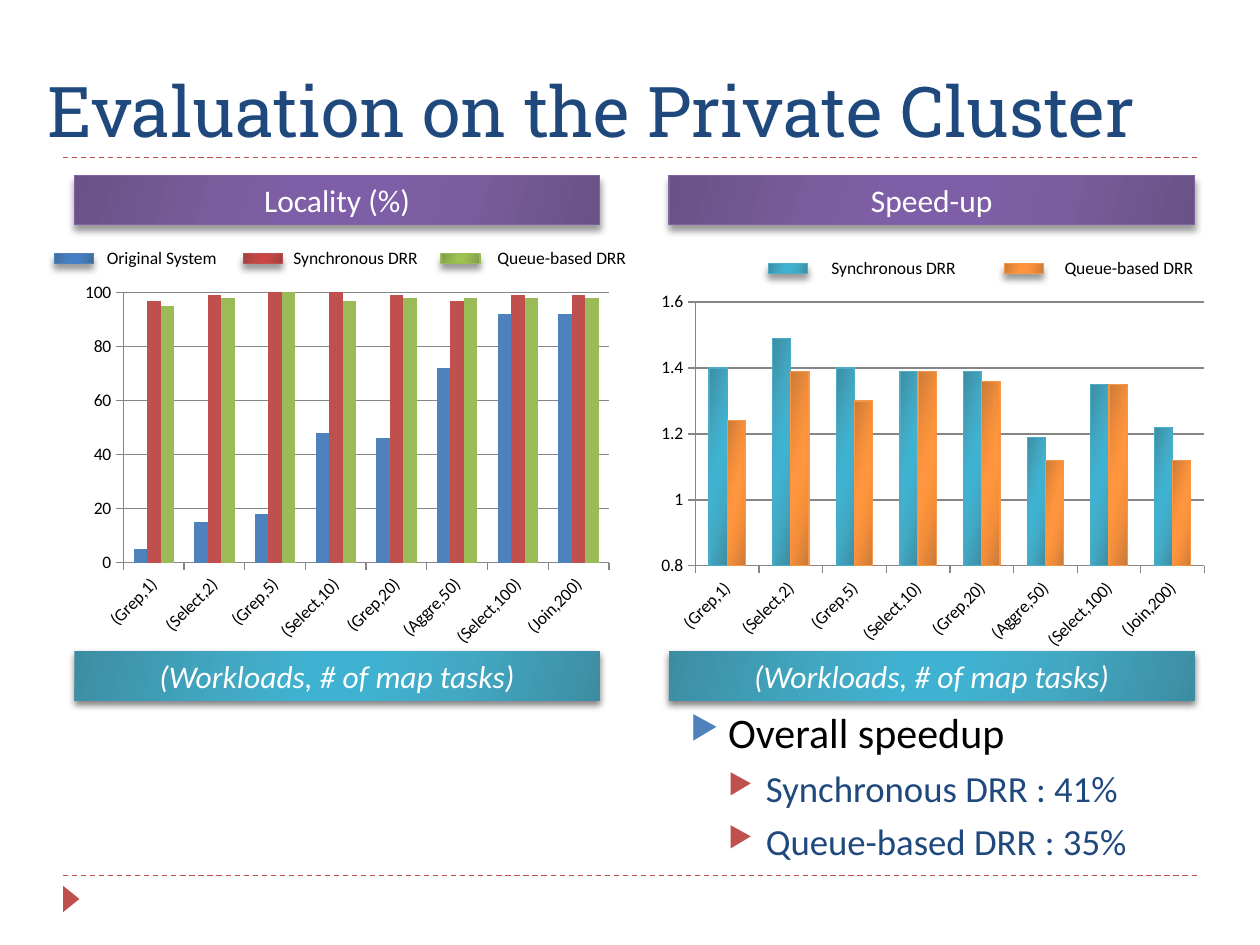
import lxml.etree
import pptx
import pptx.chart.data
import pptx.dml.color
import pptx.enum.chart
import pptx.enum.dml
import pptx.enum.shapes
import pptx.enum.text
import pptx.oxml.ns
import pptx.util

Inches, Pt = pptx.util.Inches, pptx.util.Pt
qn = pptx.oxml.ns.qn

COLORS = {
    "navy": "1F497D", "black": "000000", "white": "FFFFFF", "grid": "868686",
    "blue": "4F81BD", "red": "C0504D", "green": "9BBB59",
    "purple": "8064A2", "teal": "4BACC6", "orange": "F79646",
}
GRADIENTS = {
    "purple": ("695285", "7A5D9E", "7F5EA8"),
    "blue": ("416A9B", "467BBA", "4580C7"),
    "red": ("9D413F", "BD4744", "CA4643"),
    "green": ("7F9949", "96B750", "9EC450"),
    "teal": ("3D8DA2", "42A8C3", "40B2D1"),
    "orange": ("CA7B39", "F48E3A", "FF953E"),
}
STOPS = ((0, 0), (30, 1), (45, 2), (55, 2), (73, 1), (100, 0))


class SlideBuilder:
    """Hold the style and the current slide, and draw each kind of element."""

    def __init__(self, slide):
        self.slide = slide
        self.body_font = "Calibri"
        self.title_font = "Roboto Slab"

    def color(self, name):
        return pptx.dml.color.RGBColor.from_string(COLORS[name])

    def add_xml(self, parent, tag, **attributes):
        element = lxml.etree.SubElement(parent, qn(tag))
        for key, value in attributes.items():
            element.set(key, str(value))
        return element

    def style_font(self, font, size, color, name=None):
        font.size, font.name = Pt(size), name or self.body_font
        font.color.rgb = self.color(color)

    def gradient(self, target, element, name):
        target.fill.gradient()
        fill = next(element.iter(qn("a:gradFill")))
        for child in list(fill):
            fill.remove(child)
        stop_list = self.add_xml(fill, "a:gsLst")
        for position, shade in STOPS:
            stop = self.add_xml(stop_list, "a:gs", pos=position * 1000)
            self.add_xml(stop, "a:srgbClr", val=GRADIENTS[name][shade])
        self.add_xml(fill, "a:lin", ang=16 * 60000, scaled=0)

    def outline(self, line, name):
        line.color.rgb = self.color(name)
        line.width = Pt(0.75)

    def shadow(self, shape, alpha, distance):
        shape.shadow.inherit = False
        effects = shape._element.spPr.find(qn("a:effectLst"))
        outer = self.add_xml(effects, "a:outerShdw", blurRad=Pt(4), dist=Pt(distance),
                             dir=90 * 60000, algn="ctr", rotWithShape=0)
        tint = self.add_xml(outer, "a:srgbClr", val=COLORS["black"])
        self.add_xml(tint, "a:alpha", val=alpha * 1000)

    def glossy_box(self, left, top, width, height, color, bordered=True):
        shape = self.slide.shapes.add_shape(
            pptx.enum.shapes.MSO_SHAPE.RECTANGLE,
            Inches(left), Inches(top), Inches(width), Inches(height))
        self.gradient(shape, shape._element.spPr, color)
        if bordered:
            self.outline(shape.line, color)
            self.shadow(shape, 40, 3.4)
        else:
            shape.line.fill.background()
            self.shadow(shape, 50, 2)
        return shape

    def banner(self, left, top, text, color, italic=False):
        shape = self.glossy_box(left, top, 4.17, 0.39, color, bordered=not italic)
        shape.text_frame.vertical_anchor = pptx.enum.text.MSO_ANCHOR.MIDDLE
        paragraph = shape.text_frame.paragraphs[0]
        paragraph.text = text
        paragraph.alignment = pptx.enum.text.PP_ALIGN.CENTER
        self.style_font(paragraph.font, 18, "white")
        paragraph.font.italic = italic

    def text(self, left, top, width, height, text, size, color, anchor, name=None):
        box = self.slide.shapes.add_textbox(
            Inches(left), Inches(top), Inches(width), Inches(height))
        frame = box.text_frame
        frame.word_wrap = True
        frame.vertical_anchor = anchor
        paragraph = frame.paragraphs[0]
        paragraph.text = text
        self.style_font(paragraph.font, size, color, name)

    def legend_entry(self, key_left, text_left, top, text, color):
        self.glossy_box(key_left, top + 0.07, 0.31, 0.08, color)
        self.text(text_left, top, min(1.97, 10 - text_left), 0.21, text, 10, "black",
                  pptx.enum.text.MSO_ANCHOR.MIDDLE)

    def dashed_rule(self, top):
        rule = self.slide.shapes.add_connector(
            pptx.enum.shapes.MSO_CONNECTOR.STRAIGHT,
            Inches(0.5), Inches(top), Inches(9.5), Inches(top))
        self.outline(rule.line, "red")
        rule.line.dash_style = pptx.enum.dml.MSO_LINE.DASH
        self.add_xml(rule._element.spPr, "a:effectLst")

    def corner_triangle(self):
        shape = self.slide.shapes.add_shape(
            pptx.enum.shapes.MSO_SHAPE.ISOSCELES_TRIANGLE,
            Inches(0.46), Inches(7.07), Inches(0.21), Inches(0.13))
        shape.rotation = 90
        shape.shadow.inherit = False
        shape.fill.solid()
        shape.fill.fore_color.rgb = self.color("red")
        shape.line.fill.background()

    def bullets(self, left, top, width, height, items):
        box = self.slide.shapes.add_textbox(
            Inches(left), Inches(top), Inches(width), Inches(height))
        frame = box.text_frame
        frame.word_wrap = True
        for index, (level, text) in enumerate(items):
            paragraph = frame.paragraphs[0] if index == 0 else frame.add_paragraph()
            paragraph.text, paragraph.level = text, level
            size, color, bullet, space = ((24, "black", "blue", 6), (21, "navy", "red", 5))[level]
            self.style_font(paragraph.font, size, color)
            paragraph.space_before = Pt(space)
            properties = paragraph._p.get_or_add_pPr()
            properties.set("marL", str(Inches(0.3 * (level + 1))))
            properties.set("indent", str(Inches(-0.3)))
            marks = [lxml.etree.Element(qn(tag)) for tag in ("a:buClr", "a:buSzPct", "a:buChar")]
            self.add_xml(marks[0], "a:srgbClr", val=COLORS[bullet])
            marks[1].set("val", "76000")
            marks[2].set("char", "▶")
            place = list(properties).index(properties.find(qn("a:defRPr")))
            properties[place:place] = marks

    def column_chart(self, frame, plot_area, categories, series, scale, glossy):
        data = pptx.chart.data.CategoryChartData()
        data.categories = categories
        for name, color, values in series:
            data.add_series(name, values)
        chart = self.slide.shapes.add_chart(
            pptx.enum.chart.XL_CHART_TYPE.COLUMN_CLUSTERED,
            *map(Inches, frame), data).chart
        chart.has_legend = chart.has_title = False
        self.style_font(chart.font, 10, "black")
        plot = chart.plots[0]
        plot.gap_width, plot.overlap, plot.vary_by_categories = 150, 0, False
        for bars, (name, color, values) in zip(plot.series, series):
            if glossy:
                self.gradient(bars.format, bars._element, color)
                self.outline(bars.format.line, color)
            else:
                bars.format.fill.solid()
                bars.format.fill.fore_color.rgb = self.color(color)
        value_axis, category_axis = chart.value_axis, chart.category_axis
        value_axis.minimum_scale, value_axis.maximum_scale, value_axis.major_unit = scale
        value_axis.has_major_gridlines = True
        self.outline(value_axis.major_gridlines.format.line, "grid")
        for axis in (value_axis, category_axis):
            axis.major_tick_mark = pptx.enum.chart.XL_TICK_MARK.OUTSIDE
            self.outline(axis.format.line, "grid")
            self.style_font(axis.tick_labels.font, 10, "black")
        value_axis.tick_labels.number_format = "General"
        value_axis.tick_labels.number_format_is_linked = False
        next(category_axis._element.iter(qn("a:bodyPr"))).set("rot", str(-45 * 60000))
        area = next(chart._chartSpace.iter(qn("c:plotArea")))
        for old in area.findall(qn("c:layout")):
            area.remove(old)
        layout = lxml.etree.Element(qn("c:layout"))
        area.insert(0, layout)
        manual = self.add_xml(layout, "c:manualLayout")
        for tag, value in zip(("layoutTarget", "xMode", "yMode", "x", "y", "w", "h"),
                              ("inner", "edge", "edge", *plot_area)):
            self.add_xml(manual, "c:" + tag, val=value)


presentation = pptx.Presentation()
presentation.slide_width, presentation.slide_height = Inches(10), Inches(7.5)
builder = SlideBuilder(presentation.slides.add_slide(presentation.slide_layouts[6]))

for rule_top in (6.95, 1.25):
    builder.dashed_rule(rule_top)
builder.corner_triangle()
builder.text(0.28, 0.25, 9.37, 1, "Evaluation on the Private Cluster", 40, "navy",
             pptx.enum.text.MSO_ANCHOR.BOTTOM, builder.title_font)
builder.bullets(5.38, 5.56, 4.42, 1.5, [
    (0, "Overall speedup"), (1, "Synchronous DRR : 41%"), (1, "Queue-based DRR : 35%")])

workloads = ["(Grep,1)", "(Select,2)", "(Grep,5)", "(Select,10)",
             "(Grep,20)", "(Aggre,50)", "(Select,100)", "(Join,200)"]
locality = [
    ("Original System", "blue", (5, 15, 18, 48, 46, 72, 92, 92)),
    ("Synchronous DRR", "red", (97, 99, 100, 100, 99, 97, 99, 99)),
    ("Queue-based DRR", "green", (95, 98, 100, 97, 98, 98, 98, 98))]
speedup = [
    ("Synchronous DRR", "teal", (1.4, 1.49, 1.4, 1.39, 1.39, 1.19, 1.35, 1.22)),
    ("Queue-based DRR", "orange", (1.24, 1.39, 1.3, 1.39, 1.36, 1.12, 1.35, 1.12))]
builder.column_chart((0.59, 2.17, 4.33, 3.02), (0.09, 0.05, 0.89, 0.71),
                     workloads, locality, (0, 100, 20), glossy=False)
builder.column_chart((5.16, 2.25, 4.49, 2.95), (0.08, 0.05, 0.9, 0.71),
                     workloads, speedup, (0.8, 1.6, 0.2), glossy=True)

for banner_left, heading in ((0.59, "Locality (%)"), (5.31, "Speed-up")):
    builder.banner(banner_left, 1.39, heading, "purple")
    builder.banner(banner_left, 5.17, "(Workloads, # of map tasks)", "teal", italic=True)

for legend_top, entries, places in (
        (1.94, locality, ((0.43, 0.75), (1.93, 2.23), (3.5, 3.85))),
        (2.02, speedup, ((6.1, 6.5), (7.97, 8.35)))):
    for (label, color, values), (key_left, text_left) in zip(entries, places):
        builder.legend_entry(key_left, text_left, legend_top, label, color)

presentation.save("out.pptx")
